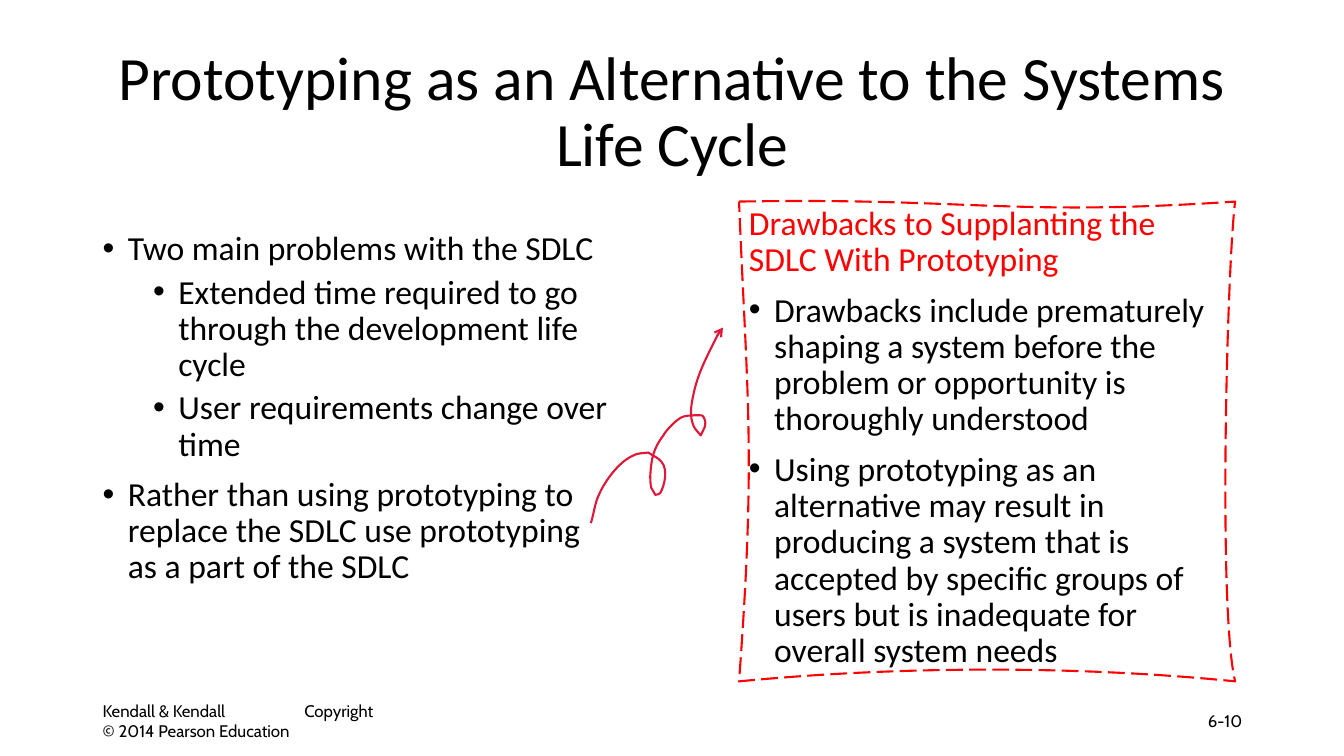
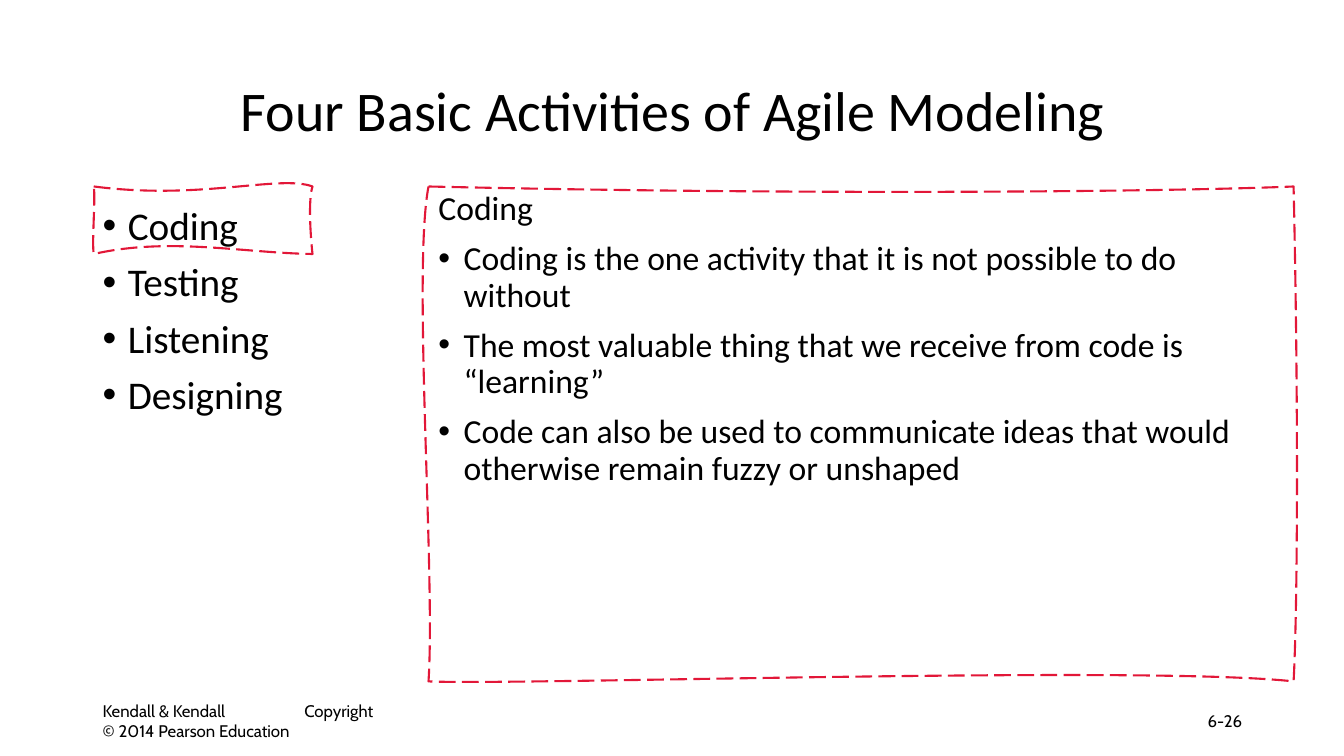
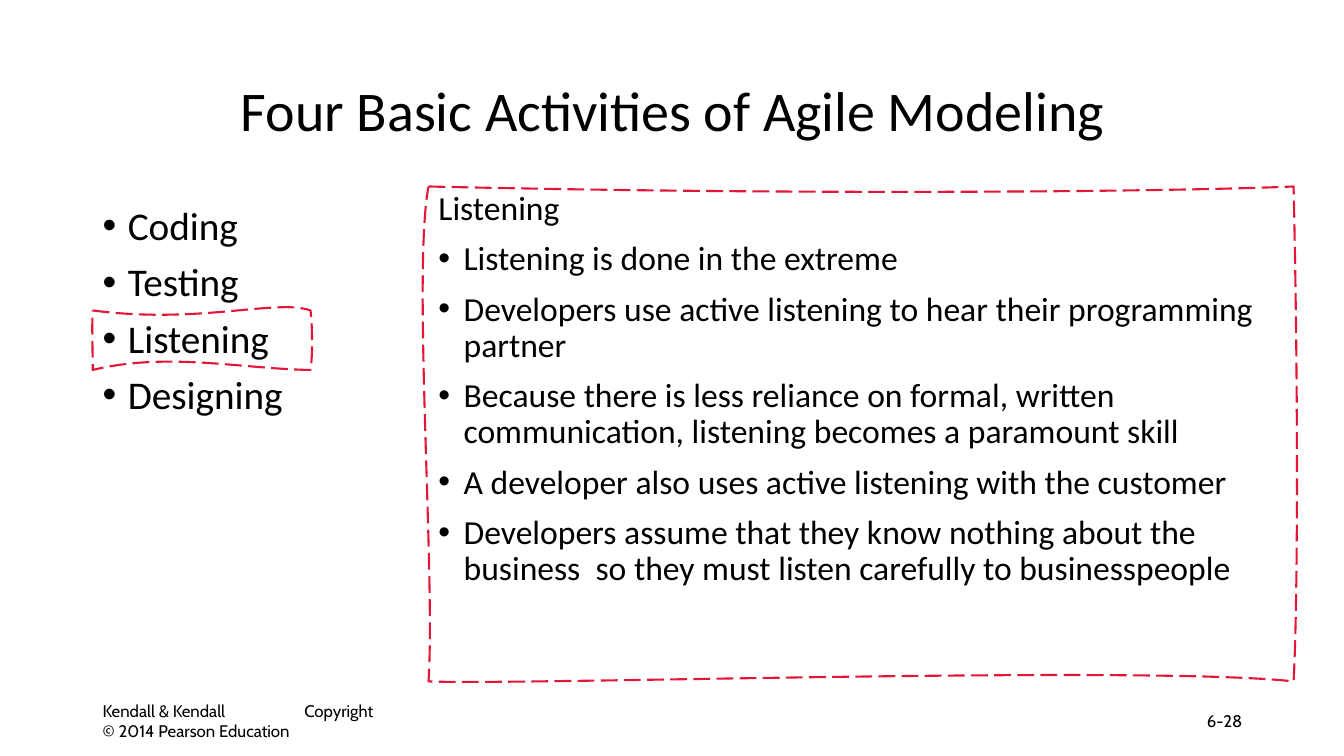
import lxml.etree
import pptx
import pptx.dml.color
import pptx.enum.dml
import pptx.enum.text
import pptx.oxml.ns
import pptx.util

PX = 9144
INSET_X, INSET_Y = 10, 5
BLACK, RED, CRIMSON, ROSE = "000000", "FF0000", "E21738", "DF1738"
BODY_FONT, FOOTER_FONT = "Calibri", "Cabin"
FOOTER = "Kendall & Kendall\tCopyright © 2014 Pearson Education"
FOOTER_TAB = 200
ALIGN = pptx.enum.text.PP_ALIGN
ANCHOR = pptx.enum.text.MSO_ANCHOR
HEADING, BULLET, SUB_BULLET = range(3)
INDENTS = {BULLET: 25, SUB_BULLET: 75}

DRAWBACKS_FRAME = [
    (733, 200), (962, 196), (1001, 215), (1225, 200),
    (1217, 264), (1208, 605), (1225, 676),
    (1076, 661), (899, 660), (733, 676),
    (750, 448), (741, 397), (733, 200)]
DETAIL_FRAME = [
    (425, 185), (813, 194), (1168, 190), (1283, 185),
    (1288, 403), (1287, 604), (1283, 676),
    (1138, 660), (515, 680), (425, 676),
    (432, 570), (409, 268), (425, 185)]
CODING_FRAME = [
    (93, 185), (199, 199), (277, 173), (310, 185),
    (305, 200), (309, 244), (310, 252),
    (241, 251), (168, 235), (93, 252),
    (91, 240), (95, 196), (93, 185)]
LISTENING_FRAME = [
    (92, 308), (198, 322), (275, 296), (308, 308),
    (309, 315), (311, 346), (308, 367),
    (240, 366), (166, 349), (92, 367),
    (92, 349), (91, 322), (92, 308)]
LOOPED_ARROW = [
    (586, 519), (589, 510), (590, 499), (594, 491),
    (600, 477), (614, 458), (628, 452), (633, 449), (638, 450), (643, 449),
    (647, 452), (653, 454), (656, 458), (663, 466), (659, 482), (655, 489),
    (654, 491), (652, 490), (650, 491), (649, 488), (647, 487), (646, 484),
    (645, 480), (645, 476), (645, 472), (646, 455), (648, 445), (658, 432),
    (659, 429), (672, 414), (679, 413), (684, 412), (689, 412), (694, 412),
    (695, 412), (698, 412), (698, 414), (702, 422), (698, 425), (695, 432),
    (692, 428), (688, 425), (687, 420), (685, 414), (685, 408), (686, 401),
    (690, 375), (698, 360), (710, 336), (714, 328), (713, 329), (717, 325)]

ACTIVITIES = ["Coding", "Testing", "Listening", "Designing"]


def px(length):
    """Turn px into EMU."""
    return pptx.util.Emu(length * PX)


def color(value):
    """Turn a hex string into a colour."""
    return pptx.dml.color.RGBColor.from_string(value)


def add_child(parent, tag, **attributes):
    """Append a DrawingML element to a parent element."""
    return lxml.etree.SubElement(parent, pptx.oxml.ns.qn(tag), **attributes)


def add_span(para, text, size, font, hue):
    """Add one formatted run to a paragraph."""
    span = para.add_run()
    span.text = text
    span.font.size = pptx.util.Pt(size)
    span.font.name = font
    span.font.color.rgb = color(hue)


def set_bullet(para, indent):
    """Give a paragraph a hanging bullet."""
    properties = para._p.get_or_add_pPr()
    properties.set("marL", str(px(indent)))
    properties.set("indent", str(px(-25)))
    add_child(properties, "a:buFont", typeface="Arial")
    add_child(properties, "a:buChar", char="•")


def set_tab(para, position):
    """Give a paragraph one left tab stop."""
    stops = add_child(para._p.get_or_add_pPr(), "a:tabLst")
    add_child(stops, "a:tab", pos=str(px(position)), algn="l")


def fill_outline(frame, items, size, heading_color=BLACK):
    """Write headings and bullets into a text frame."""
    for index, (kind, text) in enumerate(items):
        para = frame.paragraphs[0] if index == 0 else frame.add_paragraph()
        para.alignment = ALIGN.LEFT
        para.line_spacing = 0.9
        if index:
            para.space_before = pptx.util.Pt(5 if kind == SUB_BULLET else 10)
        if kind != HEADING:
            set_bullet(para, INDENTS[kind])
        hue = heading_color if kind == HEADING else BLACK
        add_span(para, text, size, BODY_FONT, hue)


def set_frame(frame, anchor):
    """Set wrapping, anchor and insets of a text frame."""
    frame.word_wrap = True
    frame.vertical_anchor = anchor
    frame.margin_left = frame.margin_right = px(INSET_X)
    frame.margin_top = frame.margin_bottom = px(INSET_Y)


def add_box(page, area, anchor=ANCHOR.TOP):
    """Add a wrapping text box and return its text frame."""
    box = page.shapes.add_textbox(*map(px, area))
    set_frame(box.text_frame, anchor)
    return box.text_frame


def add_label(page, area, text, size, font, align):
    """Add a one-paragraph box centred vertically and return its paragraph."""
    para = add_box(page, area, ANCHOR.MIDDLE).paragraphs[0]
    para.alignment = align
    add_span(para, text, size, font, BLACK)
    return para


def add_curve(page, points, hue, closed):
    """Draw an unfilled outline of cubic Bezier curves."""
    builder = page.shapes.build_freeform(*points[0], scale=PX)
    builder.add_line_segments(points[3::3], close=closed)
    curve = builder.convert_to_shape()
    left, top = (min(axis) for axis in zip(*points[::3]))
    segments = list(curve._element.iter(pptx.oxml.ns.qn("a:lnTo")))
    for index, segment in enumerate(segments):
        bezier = lxml.etree.Element(pptx.oxml.ns.qn("a:cubicBezTo"))
        for x, y in points[3 * index + 1:3 * index + 4]:
            add_child(bezier, "a:pt", x=str(x - left), y=str(y - top))
        segment.getparent().replace(segment, bezier)
    curve.shadow.inherit = False
    curve.fill.background()
    curve.line.color.rgb = color(hue)
    curve.line.width = pptx.util.Pt(1.5)
    return curve


def add_sketch_frame(page, points, hue, items=(), heading_color=BLACK):
    """Draw a dashed wavy frame with optional text."""
    curve = add_curve(page, points, hue, True)
    curve.line.dash_style = pptx.enum.dml.MSO_LINE.LONG_DASH
    set_frame(curve.text_frame, ANCHOR.TOP)
    fill_outline(curve.text_frame, items, 24, heading_color)


def add_arrow(page, points):
    """Draw a curved arrow."""
    curve = add_curve(page, points, ROSE, False)
    add_child(curve.line._get_or_add_ln(), "a:tailEnd", type="arrow")


def add_page(deck, title, title_size, number):
    """Add a slide with its title, footer and number."""
    page = deck.slides.add_slide(deck.slide_layouts[6])
    heading = add_label(page, (92, 40, 1150, 145), title, title_size, BODY_FONT, ALIGN.CENTER)
    heading.line_spacing = 0.9
    footer = add_label(page, (92, 695, 300, 40), FOOTER, 12, FOOTER_FONT, ALIGN.LEFT)
    set_tab(footer, FOOTER_TAB)
    add_label(page, (942, 695, 300, 40), number, 12, FOOTER_FONT, ALIGN.RIGHT)
    return page


def add_prototyping_page(deck):
    """Add the slide on prototyping and the SDLC."""
    page = add_page(deck, "Prototyping as an Alternative to the Systems Life Cycle", 44, "6-10")
    fill_outline(add_box(page, (92, 225, 525, 451)), [
        (BULLET, "Two main problems with the SDLC"),
        (SUB_BULLET, "Extended time required to go through the development life cycle"),
        (SUB_BULLET, "User requirements change over time"),
        (BULLET, "Rather than using prototyping to replace the SDLC use prototyping "
                 "as a part of the SDLC")], 24)
    add_sketch_frame(page, DRAWBACKS_FRAME, RED, [
        (HEADING, "Drawbacks to Supplanting the SDLC With Prototyping"),
        (BULLET, "Drawbacks include prematurely shaping a system before the problem "
                 "or opportunity is thoroughly understood"),
        (BULLET, "Using prototyping as an alternative may result in producing a system "
                 "that is accepted by specific groups of users but is inadequate for "
                 "overall system needs")], RED)
    add_arrow(page, LOOPED_ARROW)


def add_activity_page(deck, number, activity, highlight, details):
    """Add a slide that explains one of the four activities."""
    page = add_page(deck, "Four Basic Activities of Agile Modeling", 40, number)
    fill_outline(add_box(page, (92, 200, 1150, 476)),
                 [(BULLET, name) for name in ACTIVITIES], 28)
    add_sketch_frame(page, highlight, CRIMSON)
    add_sketch_frame(page, DETAIL_FRAME, CRIMSON,
                     [(HEADING, activity)] + [(BULLET, text) for text in details])


def main():
    """Build and save the deck."""
    deck = pptx.Presentation()
    deck.slide_width, deck.slide_height = px(1333), px(750)
    add_prototyping_page(deck)
    add_activity_page(deck, "6-26", "Coding", CODING_FRAME, [
        "Coding is the one activity that it is not possible to do without",
        "The most valuable thing that we receive from code is “learning”",
        "Code can also be used to communicate ideas that would otherwise remain "
        "fuzzy or unshaped"])
    add_activity_page(deck, "6-28", "Listening", LISTENING_FRAME, [
        "Listening is done in the extreme",
        "Developers use active listening to hear their programming partner",
        "Because there is less reliance on formal, written communication, listening "
        "becomes a paramount skill",
        "A developer also uses active listening with the customer",
        "Developers assume that they know nothing about the business  so they must "
        "listen carefully to businesspeople"])
    deck.save("out.pptx")


if __name__ == "__main__":
    main()
